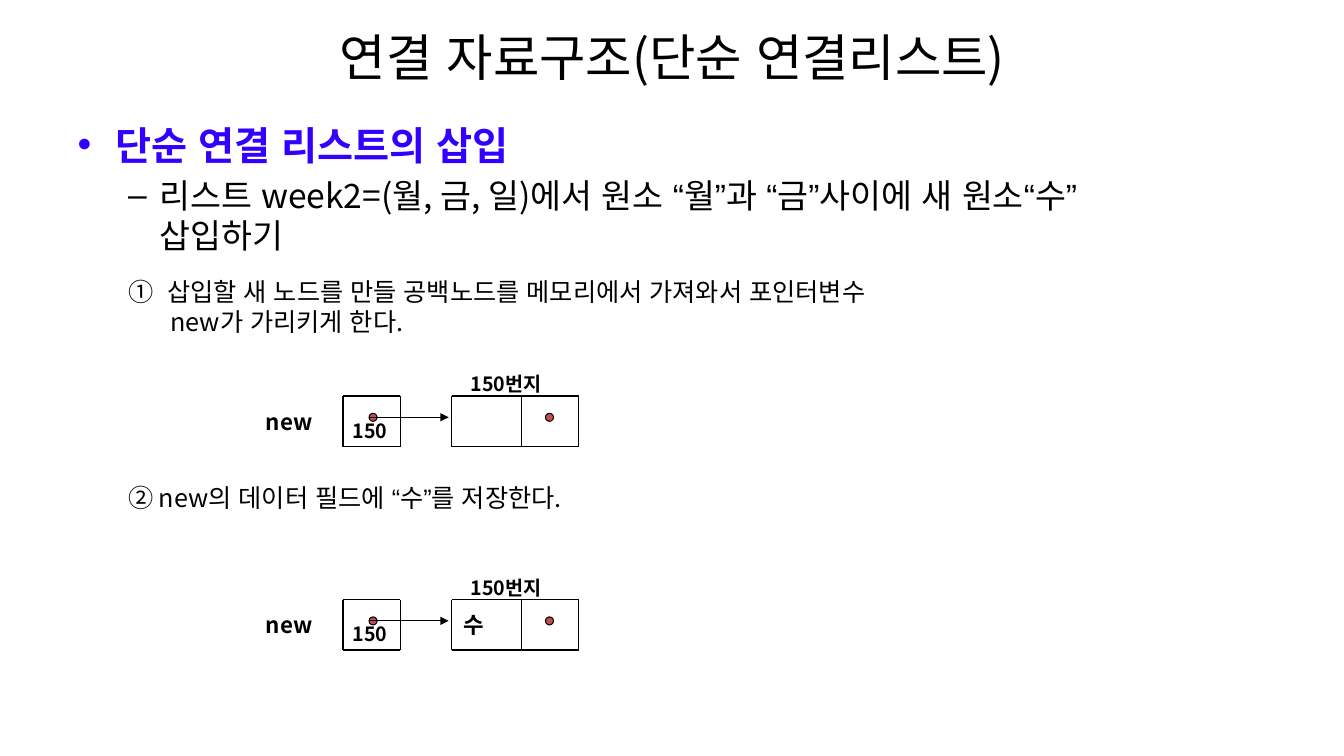
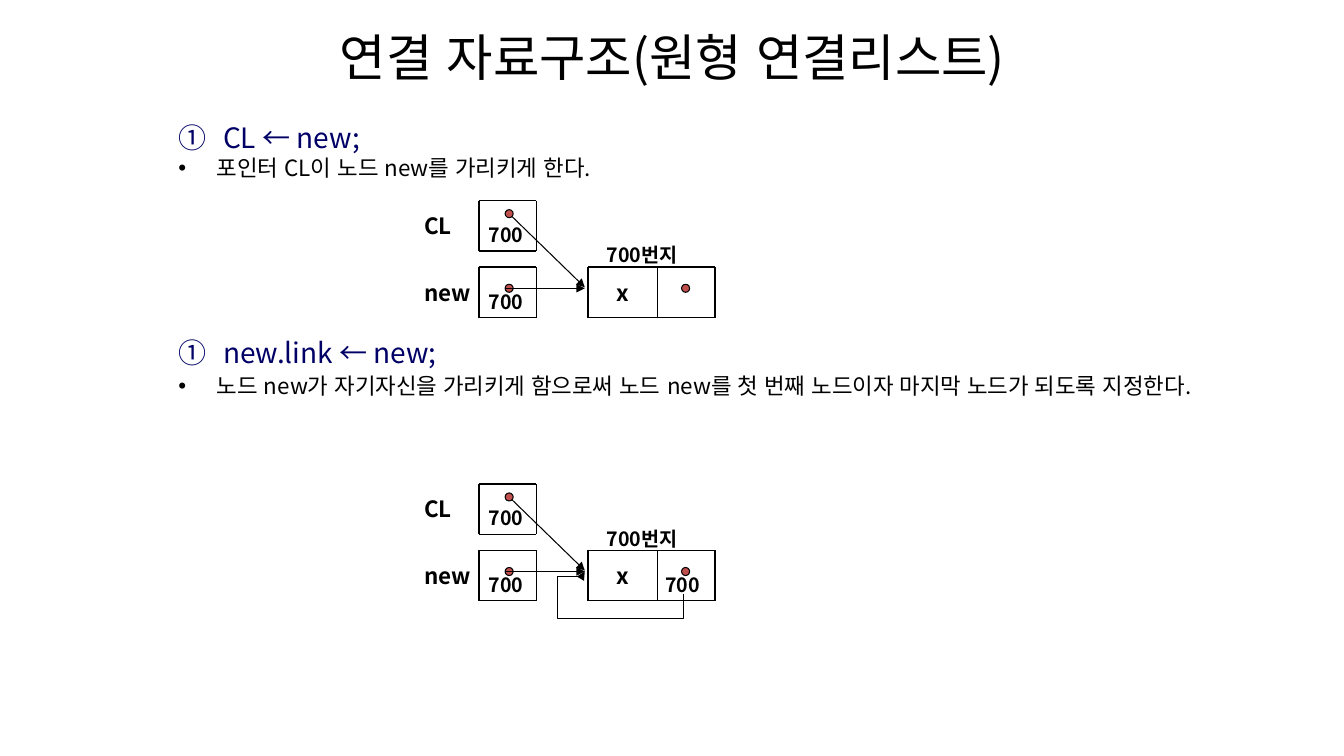
from pptx import Presentation
from pptx.dml.color import RGBColor
from pptx.enum.shapes import MSO_CONNECTOR, MSO_SHAPE
from pptx.enum.text import MSO_ANCHOR, PP_ALIGN
from pptx.oxml.ns import qn
from pptx.util import Inches, Pt
from lxml import etree

COLORS = {"black": "000000", "dot": "C0504D", "heading": "3300FF", "step": "000066"}
FONT, HEADING_FONT, QUOTE_FONT = "Noto Sans CJK KR", "Arial", "Times New Roman"
EAST_ASIAN_FONT = "Arial"
LEFT, CENTER = PP_ALIGN.LEFT, PP_ALIGN.CENTER
MIDDLE = MSO_ANCHOR.MIDDLE
OVAL = MSO_SHAPE.OVAL
STRAIGHT, ELBOW = MSO_CONNECTOR.STRAIGHT, MSO_CONNECTOR.ELBOW

LINE_PITCH = 1.2
CELL_H, CELL_W, DATA_W, DOT = 0.5, 0.57, 0.69, 0.08
NODE_DX = 1.08      # from a pointer cell to the node it points at
ARROW_DX = 1.05     # from a pointer cell to the tip of its arrow
CL_RISE = 0.66      # from the CL cell down to the new cell

# name: (size, colour, font, bold, left margin, first-line indent, bullet)
STYLES = {
    "heading": (28, "heading", HEADING_FONT, True, 0.38, -0.38, "•"),
    "topic": (24, "black", FONT, False, 0.81, -0.31, "–"),
    "item": (18, "black", FONT, False, 0.92, -0.42, None),
    "step": (20, "step", FONT, False, 1.38, -0.38, "circleNumDbPlain"),
    "note": (16, "black", FONT, False, 1.38, -0.38, "•"),
}


def rgb(name):
    return RGBColor.from_string(COLORS[name])


def format_run(r, size, color="black", font=FONT, bold=False):
    r.font.size = Pt(size)
    r.font.bold = bold
    r.font.color.rgb = rgb(color)
    r.font.name = font
    etree.SubElement(r.font._element, qn("a:ea"), typeface=EAST_ASIAN_FONT)


def add_bullet(p, left, indent, bullet):
    pPr = p._p.get_or_add_pPr()
    pPr.set("marL", str(Inches(left)))
    pPr.set("indent", str(Inches(indent)))
    if bullet is None:
        etree.SubElement(pPr, qn("a:buNone"))
    elif len(bullet) > 1:
        etree.SubElement(pPr, qn("a:buAutoNum"), type=bullet)
    else:
        etree.SubElement(pPr, qn("a:buFont"), typeface="Arial")
        etree.SubElement(pPr, qn("a:buChar"), char=bullet)


def add_label(s, x, y, w, h, text, size, bold=True, align=LEFT):
    tf = s.shapes.add_textbox(Inches(x), Inches(y), Inches(w), Inches(h)).text_frame
    tf.word_wrap = True
    tf.vertical_anchor = MIDDLE
    tf.margin_top = tf.margin_bottom = 0
    tf.text = text
    p = tf.paragraphs[0]
    p.alignment = align
    format_run(p.runs[0], size, bold=bold)


def add_title(s, text):
    add_label(s, 0.67, 0.13, 12, 0.85, text, 36, bold=False, align=CENTER)


def add_body(s, paragraphs):
    """Each paragraph is (style, points before, text runs)."""
    tf = s.shapes.add_textbox(Inches(0.77), Inches(1.2), Inches(11.8), Inches(5.5)).text_frame
    tf.word_wrap = True
    tf.margin_left = tf.margin_right = tf.margin_top = tf.margin_bottom = 0
    for i, (style, before, *parts) in enumerate(paragraphs):
        size, color, font, bold, left, indent, bullet = STYLES[style]
        p = tf.paragraphs[0] if i == 0 else tf.add_paragraph()
        p.line_spacing = Pt(size * LINE_PITCH)
        p.space_before = Pt(before)
        add_bullet(p, left, indent, bullet)
        for part in parts:
            for n, line in enumerate(part.split("\n")):
                if n:
                    p.add_line_break()
                r = p.add_run()
                r.text = line
                format_run(r, size, color, QUOTE_FONT if part in "“”" else font, bold)


def add_line(s, x1, y1, x2, y2, width=1, kind=STRAIGHT):
    c = s.shapes.add_connector(kind, Inches(x1), Inches(y1), Inches(x2), Inches(y2))
    c.line.color.rgb = rgb("black")
    c.line.width = Pt(width)
    etree.SubElement(c._element.spPr, qn("a:effectLst"))
    return c


def add_arrow(s, x1, y1, x2, y2, kind=STRAIGHT):
    c = add_line(s, x1, y1, x2, y2, 0.75, kind)
    etree.SubElement(c.line._get_or_add_ln(), qn("a:tailEnd"), type="triangle")
    return c


def add_cells(s, x, y, *widths):
    """Row of adjoining cells ruled with single lines."""
    right, bottom = x + sum(widths), y + CELL_H
    for edge in (y, bottom):
        add_line(s, x, edge, right, edge)
    for n in range(len(widths) + 1):
        edge = x + sum(widths[:n])
        add_line(s, edge, y, edge, bottom)


def add_dot(s, x, y):
    sp = s.shapes.add_shape(OVAL, Inches(x), Inches(y), Inches(DOT), Inches(DOT))
    sp.shadow.inherit = False
    sp.fill.solid()
    sp.fill.fore_color.rgb = rgb("dot")
    sp.line.color.rgb = rgb("black")
    sp.line.width = Pt(0.75)


def add_address(s, x, y, value):
    add_label(s, x, y + 0.25, 0.56, 0.18, value, 14)


def add_pointer(s, x, y, name, value, label_dx, dot_dy=0.17):
    add_label(s, x - label_dx, y, label_dx + 0.18, CELL_H, name, 16)
    add_cells(s, x, y, CELL_W)
    add_dot(s, x + 0.26, y + dot_dy)
    add_address(s, x, y, value)


def add_node(s, x, y, address, data="", data_align=LEFT, link=""):
    add_label(s, x + 0.09, y - 0.21, 0.96, 0.18, address + "번지", 14)
    add_cells(s, x, y, DATA_W, CELL_W)
    add_dot(s, x + 0.93, y + 0.17)
    if data:
        add_label(s, x + 0.02, y, 0.65, CELL_H, data, 16, align=data_align)
    if link:
        add_address(s, x + 0.67, y, link)


def add_new_node(s, x, y, address, label_dx, **node):
    """Pointer "new", its arrow and the node it points at."""
    add_pointer(s, x, y, "new", address, label_dx)
    add_node(s, x + NODE_DX, y, address, **node)
    add_arrow(s, x + 0.26, y + 0.21, x + ARROW_DX, y + 0.21)


def add_circular_list(s, x, y, address, link=""):
    add_new_node(s, x, y, address, 0.64, data="x", data_align=CENTER, link=link)
    top = y - CL_RISE
    add_pointer(s, x, top, "CL", address, 0.64, dot_dy=0.09)
    add_arrow(s, x + 0.33, top + 0.16, x + ARROW_DX, y + 0.2)


def add_self_link(s, x, y):
    """Arrow from a node's link field round below to the node's left edge."""
    c = add_arrow(s, x + 0.35, y - 0.17, x + 0.57, y + 0.81, ELBOW)
    xfrm = c._element.spPr.find(qn("a:xfrm"))
    xfrm.set("rot", "5400000")
    xfrm.set("flipH", "1")
    geom = c._element.spPr.find(qn("a:prstGeom"))
    geom.set("prst", "bentConnector5")
    guides = geom.find(qn("a:avLst"))
    if guides is None:
        guides = etree.SubElement(geom, qn("a:avLst"))
    for n, value in enumerate((-111600, 127900, 76700), 1):
        etree.SubElement(guides, qn("a:gd"), name=f"adj{n}", fmla=f"val {value}")


def insertion_slide(s):
    add_title(s, "연결 자료구조(단순 연결리스트)")
    add_body(s, [
        ("heading", 0, "단순 연결 리스트의 삽입"),
        ("topic", 4.8, "리스트 week2=(월, 금, 일)에서 원소 “월”과 “금”사이에 새 원소“수” \n삽입하기"),
        ("item", 15, "①  삽입할 새 노드를 만들 공백노드를 메모리에서 가져와서 포인터변수 \nnew가 가리키게 한다."),
        ("item", 104, "② new의 데이터 필드에 ", "“", "수", "”", "를 저장한다."),
    ])
    for y, data in ((3.93, ""), (5.95, "수")):
        add_new_node(s, 3.4, y, "150", 0.86, data=data)


def circular_slide(s):
    add_title(s, "연결 자료구조(원형 연결리스트)")
    add_body(s, [
        ("step", 0, " CL ← new;"),
        ("note", 0, "포인터 CL이 노드 new를 가리키게 한다."),
        ("step", 110, " new.link ← new;"),
        ("note", 2.4, "노드 new가 자기자신을 가리키게 함으로써 노드 new를 첫 번째 노드이자 마지막 노드가 되도록 지정한다."),
    ])
    x, y = 4.75, 5.46
    add_circular_list(s, x, 2.65, "700")
    add_circular_list(s, x, y, "700", link="700")
    add_self_link(s, x + NODE_DX, y)


def main():
    prs = Presentation()
    prs.slide_width, prs.slide_height = Inches(13.33), Inches(7.5)
    for build in (insertion_slide, circular_slide):
        build(prs.slides.add_slide(prs.slide_layouts[6]))
    prs.save("out.pptx")


if __name__ == "__main__":
    main()
